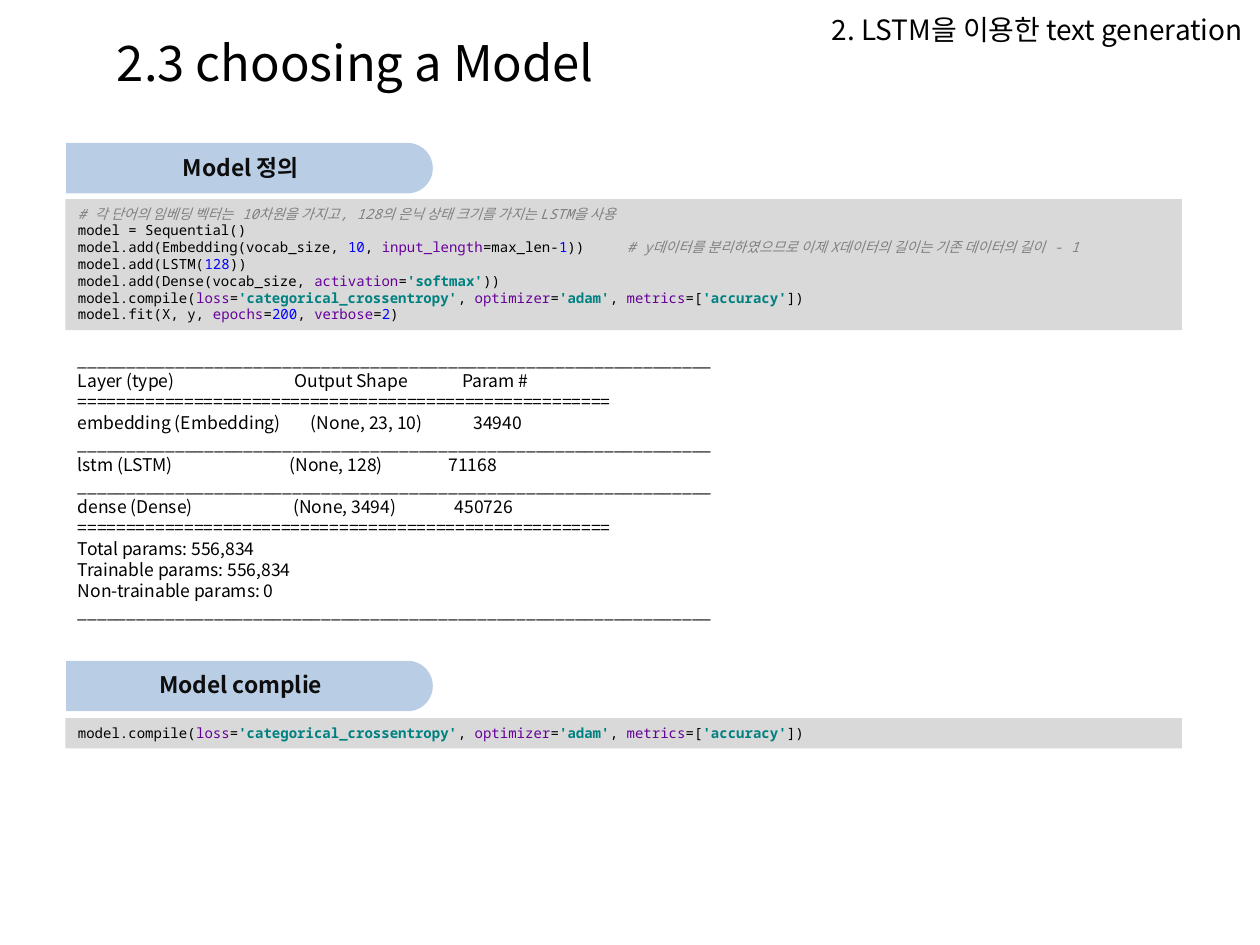
from dataclasses import dataclass
from pptx import Presentation
from pptx.dml.color import RGBColor
from pptx.enum.shapes import MSO_SHAPE as Shape
from pptx.enum.text import MSO_ANCHOR as Anchor, MSO_AUTO_SIZE as Fit, PP_ALIGN as Align
from pptx.oxml.ns import qn
from pptx.util import Inches, Pt
from lxml.etree import SubElement


@dataclass(frozen=True)
class Theme:
    """Colours, fonts and type sizes of the slide."""
    sans: str = "Noto Sans CJK KR"
    mono: str = "Noto Sans Mono"
    ink: str = "000000"
    heading_ink: str = "0D0D0D"
    heading_fill: str = "B9CDE5"
    code_fill: str = "D9D9D9"
    title: int = 28
    chapter: int = 16
    heading: int = 13
    summary: int = 10
    code: int = 8

    def style(self, size, **changes):
        """Return format values for a run of plain text."""
        return dict(size=size, name=self.sans, color=self.ink, bold=False, italic=False) | changes

    def syntax(self, kind):
        """Return format values for one kind of code token."""
        note = dict(color="808080", italic=True)
        changes = {"plain": {}, "number": dict(color="0000FF"), "key": dict(color="660099"),
                   "string": dict(color="008080", bold=True), "note": note,
                   "hangul": dict(note, name=self.sans)}[kind]
        return self.style(self.code, **(dict(name=self.mono) | changes))


class Board:
    """Holds the theme and the current slide, measured in cells of a grid."""
    COLUMNS, ROWS = 100, 75

    def __init__(self, deck, theme):
        """Add a blank slide to the deck."""
        self.theme = theme
        self.cell_w = deck.slide_width / self.COLUMNS
        self.cell_h = deck.slide_height / self.ROWS
        self.slide = deck.slides.add_slide(deck.slide_layouts[6])

    def box(self, col, row, cols, rows):
        """Turn grid cells into a position and a size."""
        return (round(col * self.cell_w), round(row * self.cell_h),
                round(cols * self.cell_w), round(rows * self.cell_h))

    def panel(self, area, fill, kind=Shape.RECTANGLE):
        """Draw a flat filled shape."""
        panel = self.slide.shapes.add_shape(kind, *self.box(*area))
        panel.shadow.inherit = False
        panel.fill.solid()
        panel.fill.fore_color.rgb = RGBColor.from_string(fill)
        panel.line.fill.background()
        return panel

    def frame(self, holder, **values):
        """Set up the text frame of a shape."""
        frame = holder.text_frame
        for key, value in (dict(word_wrap=True, vertical_anchor=Anchor.TOP) | values).items():
            setattr(frame, key, value)
        return frame

    def run(self, paragraph, words, style):
        """Add one run with its format values."""
        run = paragraph.add_run()
        run.text = words
        for key, value in style.items():
            if key == "color":
                run.font.color.rgb = RGBColor.from_string(value)
            else:
                setattr(run.font, key, Pt(value) if key == "size" else value)
        SubElement(run.font._element, qn("a:ea"), typeface=style["name"])

    def tabs(self, paragraph, stops):
        """Set left tab stops, in columns from the text edge."""
        holder = SubElement(paragraph._p.get_or_add_pPr(), qn("a:tabLst"))
        for stop in stops:
            SubElement(holder, qn("a:tab"), pos=str(round(stop * self.cell_w)), algn="l")

    def text(self, area, lines, size, align=Align.LEFT, **values):
        """Write lines, each a pair of words and tab stops."""
        frame = self.frame(self.slide.shapes.add_textbox(*self.box(*area)), **values)
        for index, (words, stops) in enumerate(lines):
            paragraph = frame.add_paragraph() if index else frame.paragraphs[0]
            paragraph.alignment = align
            if stops:
                self.tabs(paragraph, stops)
            self.run(paragraph, words, self.theme.style(size))

    def heading(self, row, words):
        """Draw a section label with a rounded right end."""
        col, cols, rows = 5.25, 29.1, 4
        cap = self.panel((col + (cols - rows) / 2, row + (rows - cols) / 2, rows, cols),
                         self.theme.heading_fill, Shape.ROUND_2_SAME_RECTANGLE)
        cap.rotation = 90
        cap.adjustments[0], cap.adjustments[1] = 0.5, 0
        label = self.panel((col + 0.15, row + 0.05, 27.4, 3.7), self.theme.heading_fill)
        sides = ("left", "right", "top", "bottom")
        frame = self.frame(label, vertical_anchor=Anchor.MIDDLE,
                           **{f"margin_{side}": 0 for side in sides})
        frame.paragraphs[0].alignment = Align.CENTER
        self.run(frame.paragraphs[0], words,
                 self.theme.style(self.theme.heading, color=self.theme.heading_ink, bold=True))

    def code(self, area, lines, stops=()):
        """Write lines of coloured code on a grey panel."""
        frame = self.frame(self.panel(area, self.theme.code_fill), auto_size=Fit.SHAPE_TO_FIT_TEXT)
        paragraph = frame.paragraphs[0]
        paragraph.alignment = Align.LEFT
        if stops:
            self.tabs(paragraph, stops)
        for index, tokens in enumerate(lines):
            if index:
                paragraph.add_line_break()
                paragraph._p[-1].append(self.break_style())
            for kind, words in tokens:
                self.run(paragraph, words, self.theme.syntax(kind))

    def break_style(self):
        """Return run properties that give a line break the code size."""
        holder = SubElement(self.slide._element, qn("a:rPr"), sz=str(self.theme.code * 100))
        SubElement(holder, qn("a:latin"), typeface=self.theme.mono)
        return holder


def plain(words):
    """Make a token of plain code."""
    return "plain", words


def arguments(kind, *pairs):
    """Make tokens for named arguments separated by commas."""
    tokens = []
    for name, value in pairs:
        tokens += [plain(", ")] * bool(tokens) + [("key", name), plain("="), (kind, value)]
    return tokens


compile_call = [plain("model.compile("),
                *arguments("string", ("loss", "'categorical_crossentropy'"),
                           ("optimizer", "'adam'")),
                plain(", "), ("key", "metrics"), plain("=["), ("string", "'accuracy'"), plain("])")]

definition = [
    [("note", "# "), ("hangul", "각 단어의 임베딩 벡터는"), ("note", " 10"), ("hangul", "차원을 가지고"),
     ("note", ", 128"), ("hangul", "의 은닉 상태 크기를 가지는 "), ("note", "LSTM"), ("hangul", "을 사용")],
    [plain("model = Sequential()")],
    [plain("model.add(Embedding(vocab_size, "), ("number", "10"), plain(", "),
     ("key", "input_length"), plain("=max_len-"), ("number", "1"), plain("))\t"),
     ("note", "# y"), ("hangul", "데이터를 분리하였으므로 이제 "), ("note", "X"),
     ("hangul", "데이터의 길이는 기존 데이터의 길이"), ("note", " - 1")],
    [plain("model.add(LSTM("), ("number", "128"), plain("))")],
    [plain("model.add(Dense(vocab_size, "), *arguments("string", ("activation", "'softmax'")),
     plain("))")],
    compile_call,
    [plain("model.fit(X, y, "), *arguments("number", ("epochs", "200"), ("verbose", "2")),
     plain(")")],
]

thin_rule, double_rule = ("_" * 65, ()), ("=" * 55, ())
summary = [
    thin_rule,
    ("Layer (type)\tOutput Shape\tParam #", (17.2, 30.5)),
    double_rule,
    ("embedding (Embedding)\t(None, 23, 10)\t34940", (18.5, 31.4)),
    thin_rule,
    ("lstm (LSTM)\t(None, 128)\t71168", (16.8, 29.4)),
    thin_rule,
    ("dense (Dense)\t(None, 3494)\t450726", (17.1, 29.9)),
    double_rule,
    ("Total params: 556,834", ()),
    ("Trainable params: 556,834", ()),
    ("Non-trainable params: 0", ()),
    thin_rule,
]

deck = Presentation()
deck.slide_width, deck.slide_height = Inches(10), Inches(7.5)
theme = Theme()
board = Board(deck, theme)
board.heading(11.35, "Model 정의")
board.code((5.2, 15.8, 88.6, 10.4), definition, stops=(43.6,))
board.text((8.3, 2.1, 74.8, 5.7), [("2.3 choosing a Model", ())], theme.title)
board.text((63.4, 0.5, 36.2, 3.2), [("2. LSTM을 이용한 text generation", ())],
           theme.chapter, Align.RIGHT)
board.heading(52.45, "Model complie")
board.code((5.2, 57, 88.6, 2.4), [compile_call])
board.text((5.2, 27.2, 88.6, 22.9), summary, theme.summary, auto_size=Fit.SHAPE_TO_FIT_TEXT)
deck.save("out.pptx")
